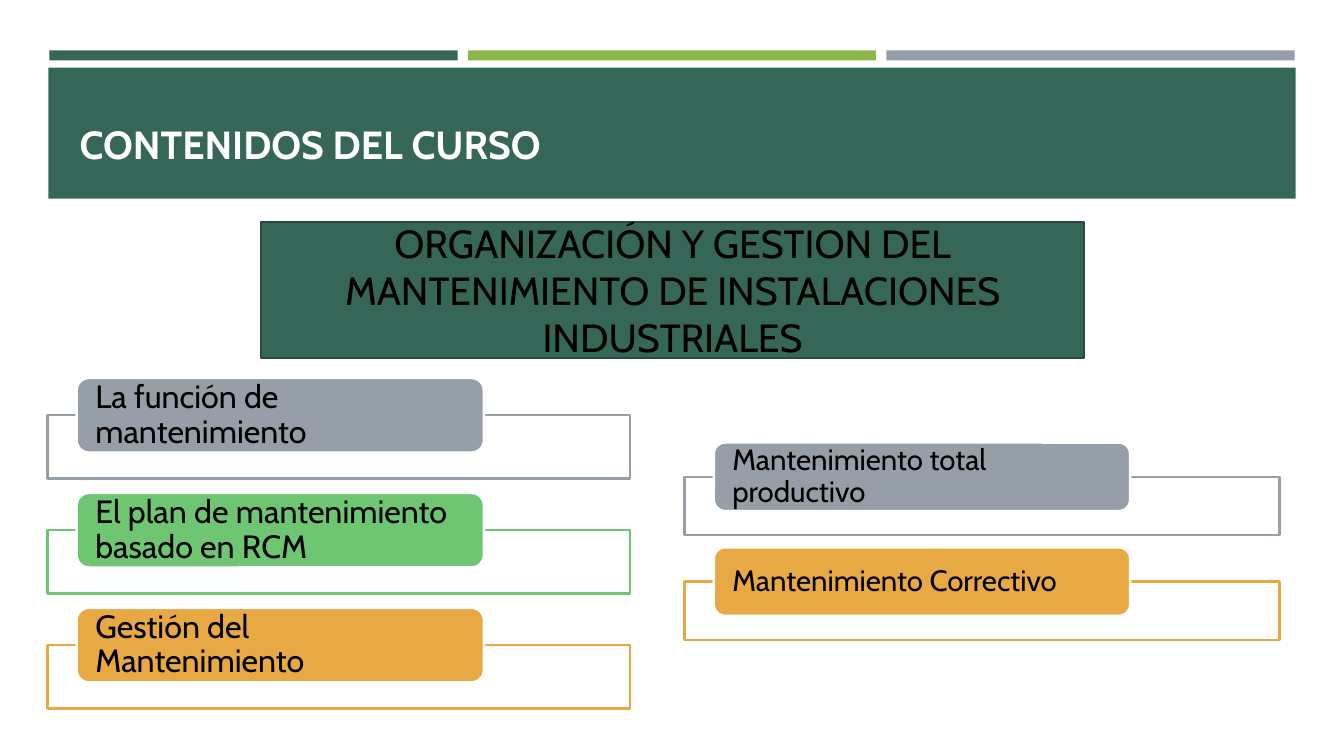
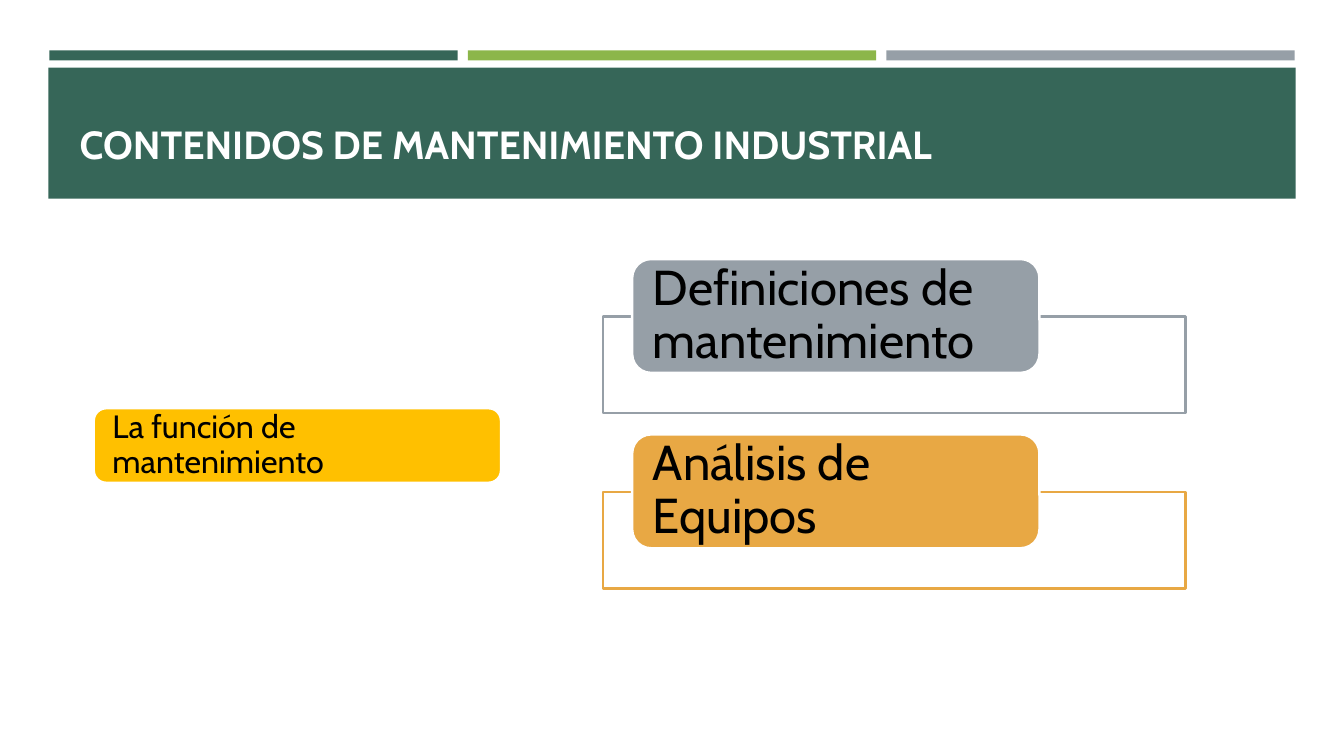
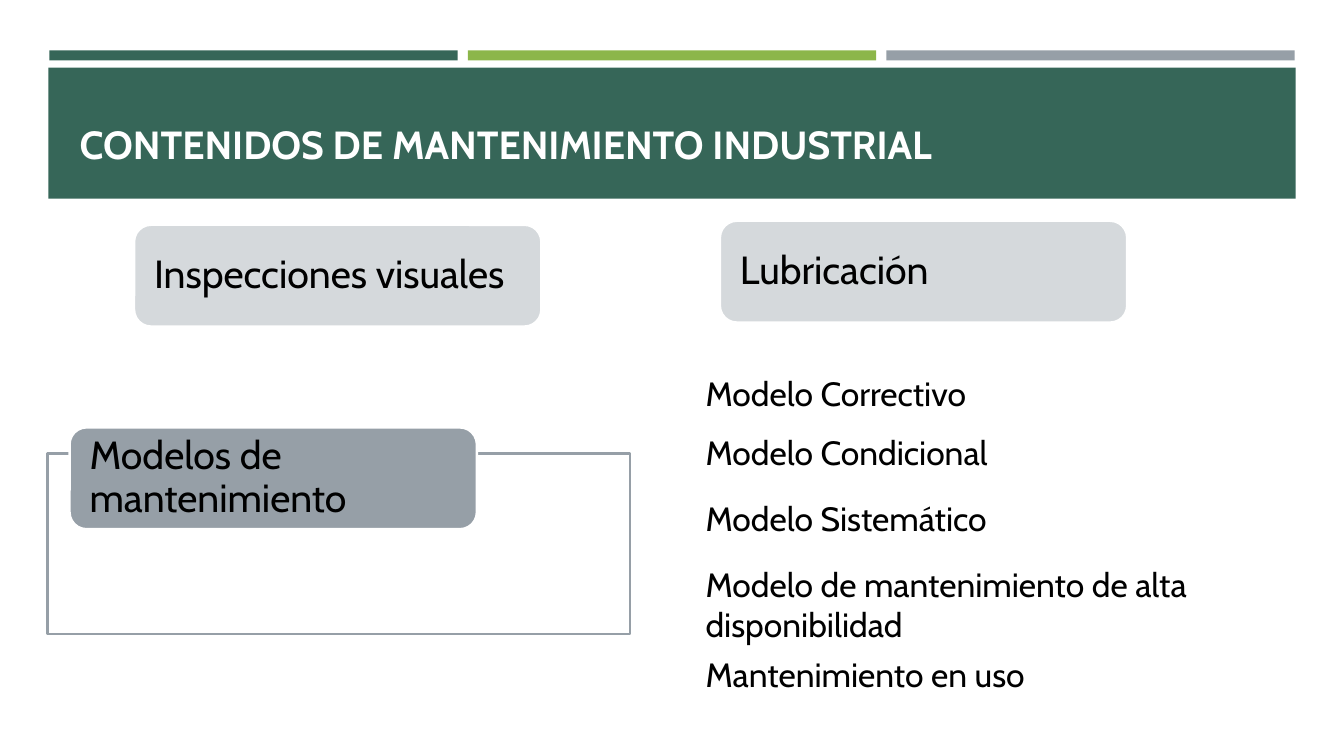
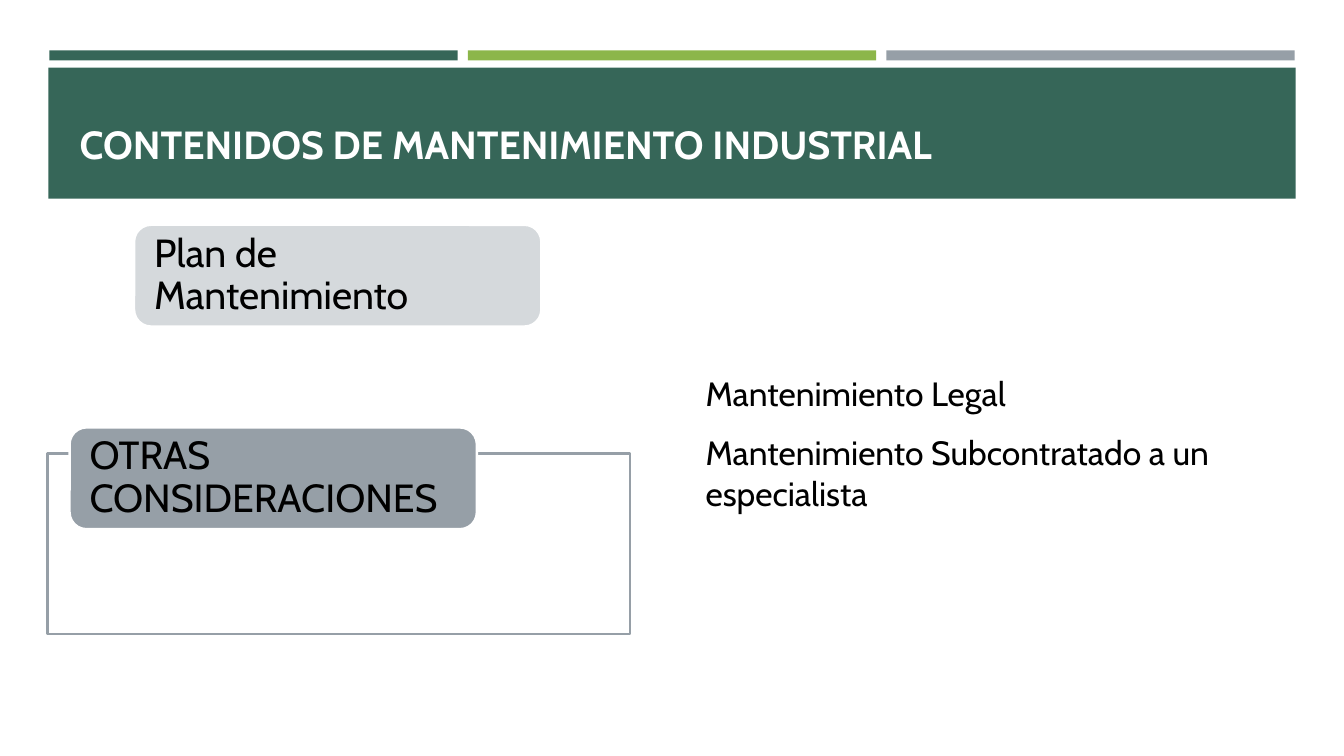
from pptx import Presentation
from pptx.dml.color import RGBColor
from pptx.enum.shapes import MSO_SHAPE
from pptx.enum.text import MSO_ANCHOR, MSO_AUTO_SIZE, PP_ALIGN
from pptx.util import Inches, Pt

RECTANGLE = MSO_SHAPE.RECTANGLE
ROUNDED = MSO_SHAPE.ROUNDED_RECTANGLE
TOP, MIDDLE, BOTTOM = MSO_ANCHOR.TOP, MSO_ANCHOR.MIDDLE, MSO_ANCHOR.BOTTOM
LEFT, CENTER = PP_ALIGN.LEFT, PP_ALIGN.CENTER
NO_AUTOFIT, GROW = MSO_AUTO_SIZE.NONE, MSO_AUTO_SIZE.SHAPE_TO_FIT_TEXT

WHITE = RGBColor(0xFF, 0xFF, 0xFF)
BLACK = RGBColor(0x00, 0x00, 0x00)
PINE = RGBColor(0x36, 0x66, 0x58)
DARK_PINE = RGBColor(0x28, 0x4B, 0x41)
LIME = RGBColor(0x8C, 0xB6, 0x4A)
GRAY = RGBColor(0x96, 0x9F, 0xA7)
PALE_GRAY = RGBColor(0xD5, 0xD9, 0xDC)
GREEN = RGBColor(0x6E, 0xC6, 0x72)
ORANGE = RGBColor(0xE8, 0xA8, 0x44)
AMBER = RGBColor(0xFF, 0xC0, 0x00)

FONT = "Cabin"
LINE_WIDTH = Pt(1.75)
TITLE_BOX = (0.69, 0.25, 12.19, 1.46)
HEADER_BOX = (0.48, 0.67, 12.37, 1.3)
STRIPE_COLORS = (PINE, LIME, GRAY)
STRIPE_BOX = (0.49, 0.5, 4.05, 0.1)
STRIPE_STEP = 4.15
BANNER_BOX = (2.59, 2.2, 8.16, 1.35)
LIST_LEFT = 6.9

INDUSTRIAL_TITLE = "CONTENIDOS DE MANTENIMIENTO INDUSTRIAL"

# A stack is a column of labels, each over an outlined panel.
# label: box of the first label; panel: left, width, height; drop: label top to panel top.
MODEL_STACK = {"label": (0.69, 4.24, 4.04, 1.01), "panel": (0.47, 5.78, 1.79),
               "drop": 0.26, "step": 0, "size": 28}

SLIDES = [
    {
        "title": "CONTENIDOS DEL CURSO",
        "banner": "ORGANIZACIÓN Y GESTION DEL MANTENIMIENTO DE INSTALACIONES INDUSTRIALES",
        "stacks": [
            {"label": (0.76, 3.75, 4.04, 0.74), "panel": (0.47, 5.78, 0.63),
             "drop": 0.37, "step": 1.14, "size": 23,
             "items": [("La función de mantenimiento", GRAY),
                       ("El plan de mantenimiento basado en RCM", GREEN),
                       ("Gestión del Mantenimiento", ORANGE)]},
            {"label": (7.08, 4.39, 4.13, 0.68), "panel": (6.79, 5.9, 0.58),
             "drop": 0.34, "step": 1.04, "size": 21,
             "items": [("Mantenimiento total productivo", GRAY),
                       ("Mantenimiento Correctivo", ORANGE)]},
        ],
    },
    {
        "title": INDUSTRIAL_TITLE,
        "stacks": [
            {"label": (6.27, 2.57, 4.04, 1.13), "panel": (5.98, 5.78, 0.96),
             "drop": 0.57, "step": 1.74, "size": 35,
             "items": [("Definiciones de mantenimiento", GRAY),
                       ("Análisis de Equipos", ORANGE)]},
        ],
        "labels": [("La función de mantenimiento", (0.93, 4.05, 4.04, 0.74), AMBER, 23)],
    },
    {
        "title": INDUSTRIAL_TITLE,
        "stacks": [{**MODEL_STACK, "items": [("Modelos de mantenimiento", GRAY)]}],
        "labels": [("Inspecciones visuales", (1.33, 2.23, 4.04, 1.01), PALE_GRAY, 28),
                   ("Lubricación", (7.14, 2.19, 4.04, 1.01), PALE_GRAY, 28)],
        "list_width": 6.4,
        "list": [("Modelo Correctivo", 3.65, 0.5),
                 ("Modelo Condicional", 4.24, 0.5),
                 ("Modelo Sistemático", 4.89, 0.5),
                 ("Modelo de mantenimiento de alta disponibilidad", 5.54, 0.91),
                 ("Mantenimiento en uso", 6.44, 0.5)],
    },
    {
        "title": INDUSTRIAL_TITLE,
        "stacks": [{**MODEL_STACK, "items": [("OTRAS CONSIDERACIONES", GRAY)]}],
        "labels": [("Plan de Mantenimiento", (1.33, 2.23, 4.04, 1.01), PALE_GRAY, 28)],
        "list_width": 5.35,
        "list": [("Mantenimiento Legal", 3.65, 0.5),
                 ("Mantenimiento Subcontratado a un especialista", 4.24, 0.91)],
    },
]


def inches(box):
    return [Inches(value) for value in box]


def write(shape, text, size, color=BLACK, bold=False, alignment=LEFT, line_spacing=None, **frame):
    """Put one formatted paragraph in a shape; frame holds text frame attributes."""
    text_frame = shape.text_frame
    for name, value in {"word_wrap": True, **frame}.items():
        setattr(text_frame, name, value)
    paragraph = text_frame.paragraphs[0]
    paragraph.alignment = alignment
    if line_spacing:
        paragraph.line_spacing = line_spacing
    run = paragraph.add_run()
    run.text = text
    for name, value in {"name": FONT, "size": Pt(size), "bold": bold}.items():
        setattr(run.font, name, value)
    run.font.color.rgb = color


def add_box(slide, box, fill, line=None, kind=RECTANGLE):
    shape = slide.shapes.add_shape(kind, *inches(box))
    shape.shadow.inherit = False
    shape.fill.solid()
    shape.fill.fore_color.rgb = fill
    if line is None:
        shape.line.fill.background()
    else:
        shape.line.color.rgb = line
        shape.line.width = LINE_WIDTH
    return shape


def add_label(slide, text, box, fill, size):
    label = add_box(slide, box, fill, WHITE, ROUNDED)
    write(label, text, size, line_spacing=0.9, vertical_anchor=MIDDLE,
          margin_left=Inches(0.15), margin_right=Inches(0.15), margin_top=0, margin_bottom=0)


def add_stack(slide, stack):
    label_left, first_top, label_width, label_height = stack["label"]
    panel_left, panel_width, panel_height = stack["panel"]
    for index, (text, color) in enumerate(stack["items"]):
        top = first_top + index * stack["step"]
        add_box(slide, (panel_left, top + stack["drop"], panel_width, panel_height), WHITE, color)
        add_label(slide, text, (label_left, top, label_width, label_height), color, stack["size"])


def add_title(slide, text):
    title = slide.shapes.title
    title.left, title.top, title.width, title.height = inches(TITLE_BOX)
    write(title, text, 28, WHITE, bold=True, vertical_anchor=BOTTOM, auto_size=NO_AUTOFIT)


def move_bands_to_layout(slide, layout):
    """Draw the header bands on a slide, then hand them to the layout all slides share."""
    for placeholder in list(layout.placeholders):
        if placeholder.placeholder_format.idx != 0:
            placeholder.element.getparent().remove(placeholder.element)
    left, top, width, height = STRIPE_BOX
    bands = [add_box(slide, (left + index * STRIPE_STEP, top, width, height), color)
             for index, color in enumerate(STRIPE_COLORS)]
    bands.append(add_box(slide, HEADER_BOX, PINE))
    for band in bands:
        layout.shapes.element.append(band.element)


def main():
    presentation = Presentation()
    presentation.slide_width, presentation.slide_height = Inches(13.33), Inches(7.5)
    layout = presentation.slide_layouts.get_by_name("Title Only")

    for index, content in enumerate(SLIDES):
        slide = presentation.slides.add_slide(layout)
        if index == 0:
            move_bands_to_layout(slide, layout)
        add_title(slide, content["title"])
        if "banner" in content:
            banner = add_box(slide, BANNER_BOX, PINE, DARK_PINE)
            write(banner, content["banner"], 28, alignment=CENTER, vertical_anchor=MIDDLE)
        for stack in content["stacks"]:
            add_stack(slide, stack)
        for label in content.get("labels", []):
            add_label(slide, *label)
        for text, top, height in content.get("list", []):
            box = (LIST_LEFT, top, content["list_width"], height)
            write(slide.shapes.add_textbox(*inches(box)), text, 24,
                  vertical_anchor=TOP, auto_size=GROW)

    presentation.save("out.pptx")


if __name__ == "__main__":
    main()
